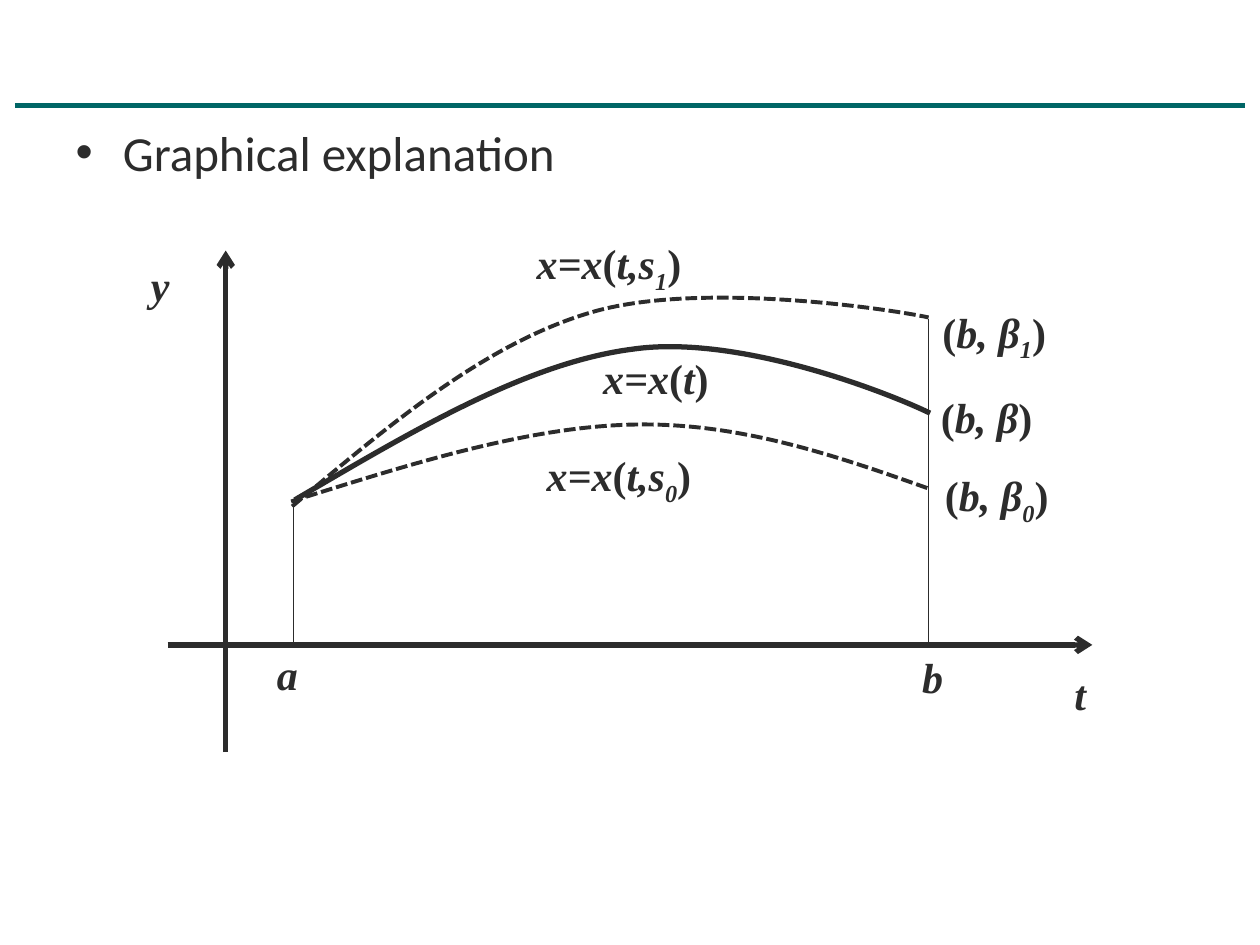
"""Build a slide that explains the shooting method with a graph."""
from itertools import groupby

from lxml import etree
from pptx import Presentation
from pptx.dml.color import RGBColor
from pptx.enum.dml import MSO_LINE
from pptx.enum.shapes import MSO_CONNECTOR
from pptx.oxml.ns import qn
from pptx.util import Cm, Pt

STRAIGHT = MSO_CONNECTOR.STRAIGHT
DASH = MSO_LINE.SQUARE_DOT
SOLID = MSO_LINE.SOLID
HEX = {"ink": "2C2C2C", "rule": "006666"}
MATH = {"name": "Times New Roman", "size": Pt(24), "bold": True}
BODY = {"name": "Calibri", "size": Pt(28)}


def style(font, form):
    for key, value in form.items():
        setattr(font, key, value)
    font.color.rgb = RGBColor.from_string(HEX["ink"])


deck = Presentation()
deck.slide_width, deck.slide_height = Cm(25.4), Cm(19.05)
slide = deck.slides.add_slide(deck.slide_layouts[1])
shapes = slide.shapes
title = shapes.title.element
title.getparent().remove(title)

body = slide.placeholders[1]
frame = {"left": 1.27, "top": 2.34, "width": 22.86, "height": 16.31}
for key, value in frame.items():
    setattr(body, key, Cm(value))
run = body.text_frame.paragraphs[0].add_run()
run.text = "Graphical explanation"
style(run.font, BODY)

base, left, right = 13, 5.92, 18.72
lines = [
    (0.3, 2.13, 25.1, 2.13, "rule", 3, False),
    (3.38, base, 22.02, base, "ink", 3, True),
    (4.55, 15.16, 4.55, 5.05, "ink", 3, True),
    (left, base, left, 10.11, "ink", 0.75, False),
    (right, base, right, 6.43, "ink", 0.75, False),
]
for x1, y1, x2, y2, hue, width, arrow in lines:
    line = shapes.add_connector(STRAIGHT, Cm(x1), Cm(y1), Cm(x2), Cm(y2))
    line.line.color.rgb = RGBColor.from_string(HEX[hue])
    line.line.width = Pt(width)
    props = line.element.spPr
    if arrow:
        etree.SubElement(props.find(qn("a:ln")), qn("a:tailEnd"), type="arrow")
    etree.SubElement(props, qn("a:effectLst"))

curves = [
    (2.25, DASH, [(5.89, 10.21), (7.85, 8.56), (9.78, 6.93), (11.91, 6.3),
                  (14.05, 5.66), (17.88, 6.22), (18.72, 6.4)]),
    (2.25, DASH, [(5.87, 10.11), (8.23, 9.37), (10.59, 8.61), (12.75, 8.56),
                  (14.88, 8.51), (16.81, 9.17), (18.75, 9.86)]),
    (3, SOLID, [(5.94, 10.08), (8.28, 8.71), (10.59, 7.32), (12.75, 7.04),
                (14.88, 6.73), (17.91, 7.92), (18.75, 8.33)]),
]
for width, dash, knots in curves:
    first, *rest = [(Cm(x), Cm(y)) for x, y in knots]
    pen = shapes.build_freeform(*first)
    pen.add_line_segments(rest, close=False)
    curve = pen.convert_to_shape()
    curve.shadow.inherit = False
    curve.fill.background()
    curve.line.color.rgb = RGBColor.from_string(HEX["ink"])
    curve.line.width = Pt(width)
    curve.line.dash_style = dash
    steps = list(curve.element.iter(qn("a:lnTo")))
    trace = steps[0].getparent()
    for i in range(0, len(steps), 3):
        bend = etree.SubElement(trace, qn("a:cubicBezTo"))
        for step in steps[i:i + 3]:
            bend.append(step[0])
            trace.remove(step)

labels = [
    ("x=x(t,s0)", 10.77, 8.94, 3.48),
    ("x=x(t,s1)", 10.57, 4.67, 3.48),
    ("(b, β1)", 18.75, 6.05, 3.48),
    ("(b, β)", 18.72, 7.77, 3.48),
    ("(b, β0)", 18.8, 9.35, 3.48),
    ("x=x(t)", 11.91, 6.99, 3.48),
    ("a", 5.33, 12.95, 1.75),
    ("b", 18.34, 13, 1.75),
    ("t", 21.41, 13.36, 1.75),
    ("y", 2.79, 5.11, 1.75),
]
for text, x, y, width in labels:
    box = shapes.add_textbox(Cm(x), Cm(y), Cm(width), Cm(1.28))
    box.text_frame.word_wrap = True
    para = box.text_frame.paragraphs[0]
    for (upright, sub), part in groupby(text, lambda c: (c in "()", c.isdigit())):
        run = para.add_run()
        run.text = "".join(part)
        style(run.font, MATH | {"italic": not upright})
        if sub:
            run.font._element.set("baseline", "-25000")

deck.save("out.pptx")
